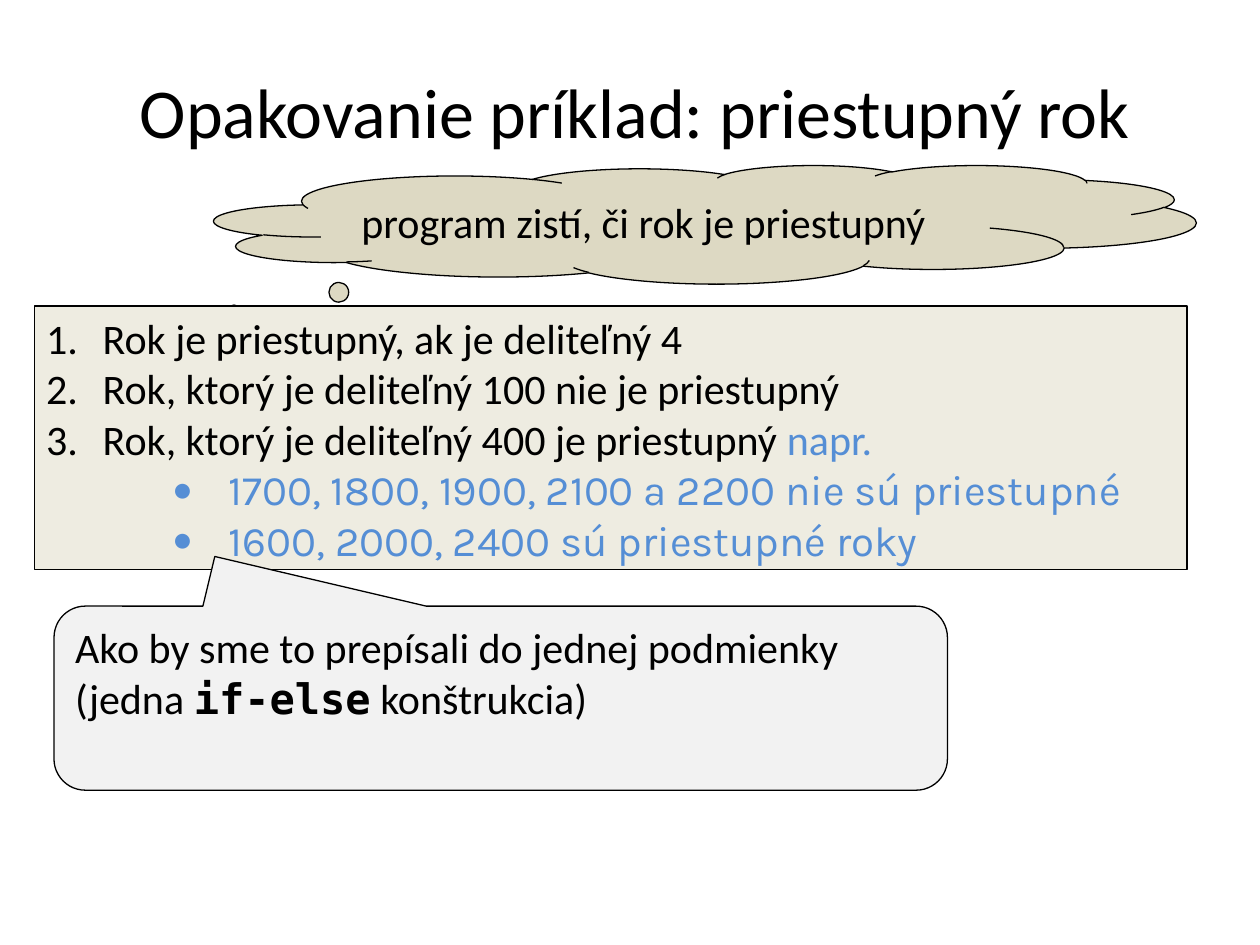
from dataclasses import dataclass
from typing import Optional

from lxml.etree import SubElement
from pptx import Presentation
from pptx.dml.color import RGBColor
from pptx.enum.shapes import MSO_SHAPE
from pptx.enum.text import MSO_ANCHOR, PP_ALIGN
from pptx.oxml.ns import qn
from pptx.util import Cm, Pt

BLACK = RGBColor(0x00, 0x00, 0x00)
BLUE = RGBColor(0x55, 0x8E, 0xD5)
TAN = RGBColor(0xDD, 0xD9, 0xC3)
CREAM = RGBColor(0xEE, 0xEC, 0xE1)
GREY = RGBColor(0xF2, 0xF2, 0xF2)
BODY_FONT, EXAMPLE_FONT, CODE_FONT = "Calibri", "Karla", "DejaVu Sans Mono"
HANGING = Cm(1.14)


@dataclass
class Span:
    text: str
    color: Optional[RGBColor] = None
    font: Optional[str] = None
    bold: Optional[bool] = None


@dataclass
class Line:
    spans: list[Span]
    size: int = 24
    font: str = BODY_FONT
    color: RGBColor = BLACK
    align: PP_ALIGN = PP_ALIGN.LEFT
    bullet: Optional[str] = None
    level: int = 0
    margin: int = 0


@dataclass
class Panel:
    preset: MSO_SHAPE
    box: tuple[float, float, float, float]
    fill: RGBColor
    lines: list[Line]
    adjustments: tuple[float, ...] = ()
    anchor: MSO_ANCHOR = MSO_ANCHOR.TOP


def add_bullet(paragraph, line: Line) -> None:
    properties = paragraph._p.get_or_add_pPr()
    properties.set("marL", str(line.margin))
    properties.set("indent", str(-HANGING))
    color = SubElement(properties, qn("a:buClr"))
    SubElement(color, qn("a:srgbClr"), val=str(line.color))
    SubElement(properties, qn("a:buFont"), typeface=BODY_FONT)
    if line.bullet == "number":
        SubElement(properties, qn("a:buAutoNum"), type="arabicPeriod")
    else:
        SubElement(properties, qn("a:buChar"), char=line.bullet)


def write_lines(frame, lines: list[Line], anchor: MSO_ANCHOR) -> None:
    frame.word_wrap = True
    frame.vertical_anchor = anchor
    frame.margin_left = frame.margin_right = Cm(0.24)
    frame.margin_top = frame.margin_bottom = Cm(0.13)
    for index, line in enumerate(lines):
        paragraph = frame.add_paragraph() if index else frame.paragraphs[0]
        paragraph.alignment = line.align
        paragraph.level = line.level
        if line.bullet:
            add_bullet(paragraph, line)
        paragraph.font.size = Pt(line.size)
        paragraph.font.name = line.font
        paragraph.font.color.rgb = line.color
        for span in line.spans:
            run = paragraph.add_run()
            run.text = span.text
            # Runs inside a shape would otherwise follow its white style colour
            run.font.color.rgb = span.color or line.color
            if span.font:
                run.font.name = span.font
            if span.bold:
                run.font.bold = True


def add_panel(slide, panel: Panel) -> None:
    shape = slide.shapes.add_shape(panel.preset, *map(Cm, panel.box))
    for index, value in enumerate(panel.adjustments):
        shape.adjustments[index] = value
    shape.shadow.inherit = False
    shape.fill.solid()
    shape.fill.fore_color.rgb = panel.fill
    shape.line.color.rgb = BLACK
    shape.line.width = Pt(0.75)
    write_lines(shape.text_frame, panel.lines, panel.anchor)


def rule(*spans: Span) -> Line:
    return Line(list(spans), bullet="number", margin=HANGING)


def example(text: str) -> Line:
    return Line([Span(text)], font=EXAMPLE_FONT, color=BLUE, bullet="•",
                level=2, margin=HANGING + Cm(2.54))


TITLE = Line([Span("Opakovanie príklad: priestupný rok")], size=40, align=PP_ALIGN.CENTER)

PANELS = [
    # Goal of the program
    Panel(MSO_SHAPE.CLOUD_CALLOUT, (4.32, 3.33, 19.79, 2.39), TAN,
          [Line([Span("program zistí, či rok je priestupný")])],
          (-0.58, 0.89), MSO_ANCHOR.MIDDLE),
    # Leap year rules with examples
    Panel(MSO_SHAPE.RECTANGLE, (0.69, 6.17, 23.24, 5.31), CREAM, [
        rule(Span("Rok je priestupný, ak je deliteľný 4")),
        rule(Span("Rok, ktorý je deliteľný 100 nie je priestupný")),
        rule(Span("Rok, ktorý je deliteľný 400 je priestupný "), Span("napr.", BLUE)),
        example("1700, 1800, 1900, 2100 a 2200 nie sú priestupné"),
        example("1600, 2000, 2400 sú priestupné roky"),
    ]),
    # Question for the class
    Panel(MSO_SHAPE.ROUNDED_RECTANGULAR_CALLOUT, (1.09, 12.22, 18.01, 3.71), GREY,
          [Line([Span("Ako by sme to prepísali do jednej podmienky (jedna "),
                 Span("if-else", font=CODE_FONT, bold=True),
                 Span(" konštrukcia)")])],
          (-0.32, -0.77, 0.17)),
]


def main() -> None:
    presentation = Presentation()
    presentation.slide_width, presentation.slide_height = Cm(25.4), Cm(19.05)
    slide = presentation.slides.add_slide(presentation.slide_layouts[6])
    heading = slide.shapes.add_textbox(Cm(1.27), Cm(1.32), Cm(23.06), Cm(1.8))
    write_lines(heading.text_frame, [TITLE], MSO_ANCHOR.MIDDLE)
    for panel in PANELS:
        add_panel(slide, panel)
    presentation.save("out.pptx")


if __name__ == "__main__":
    main()
